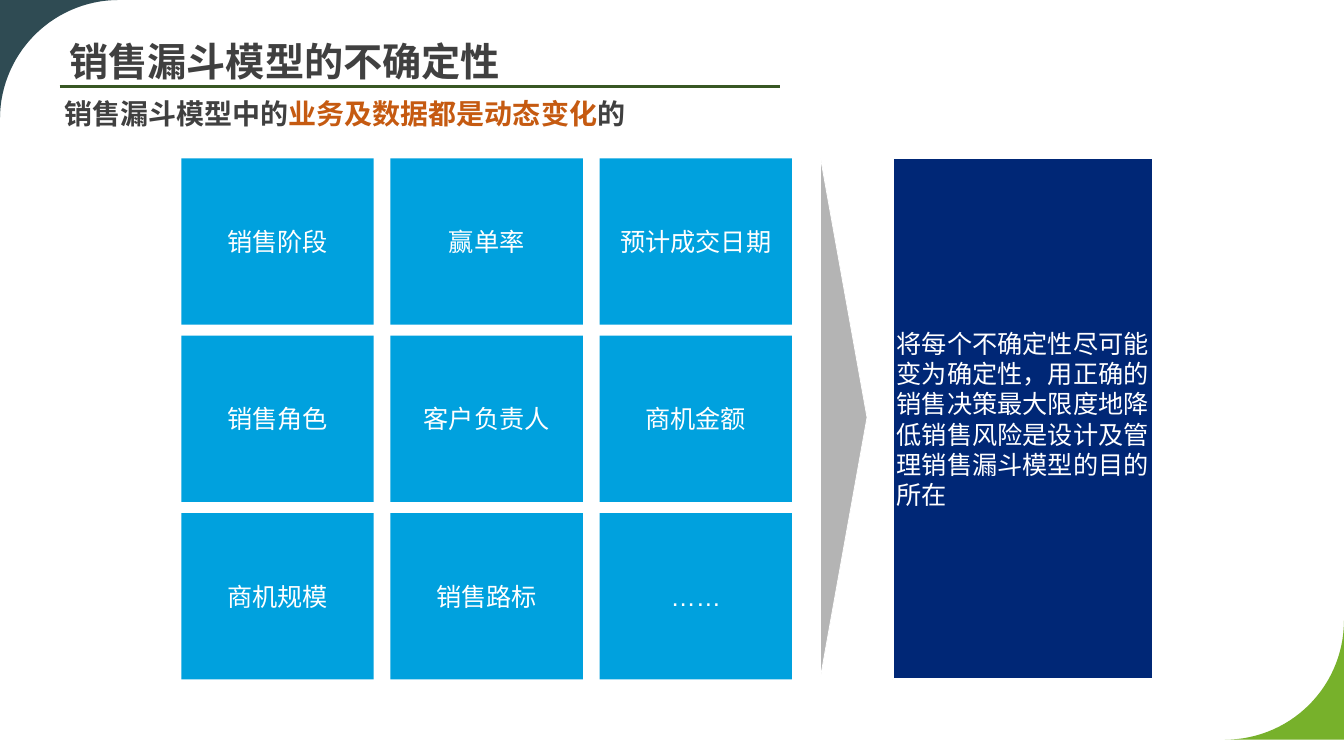
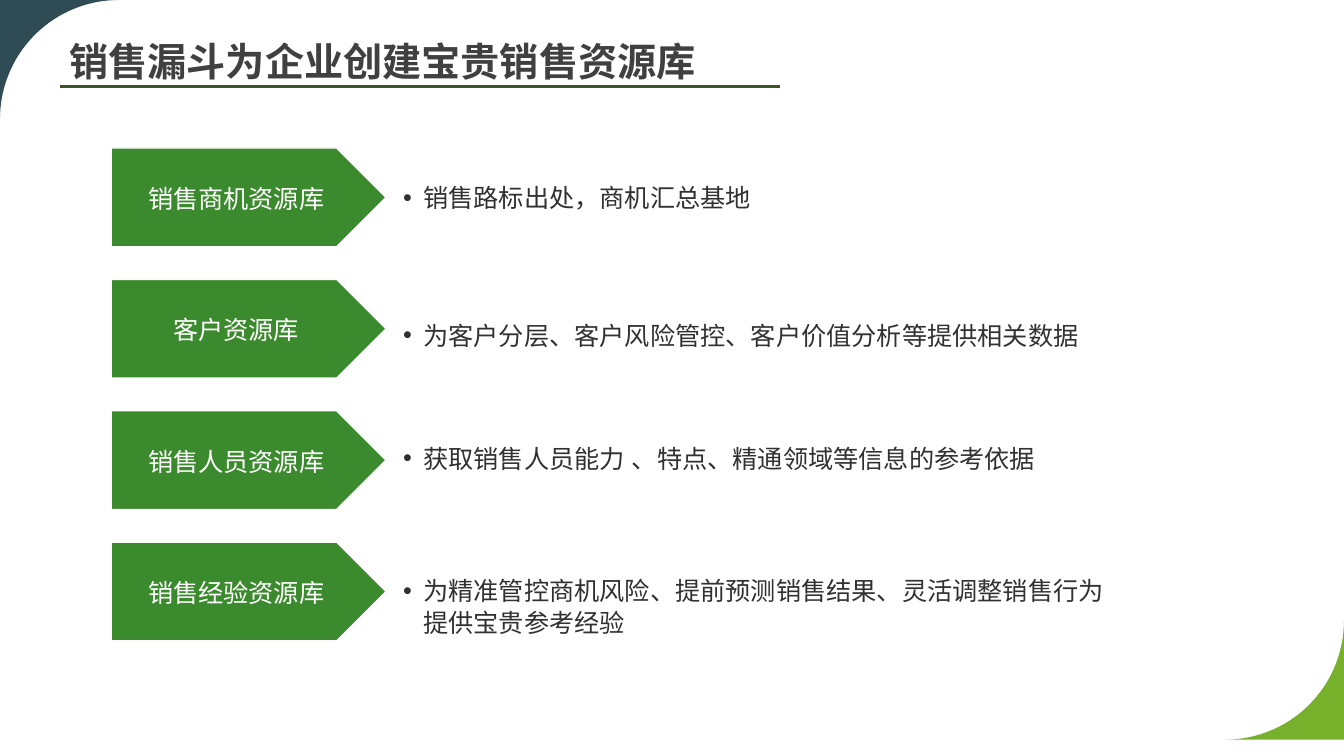
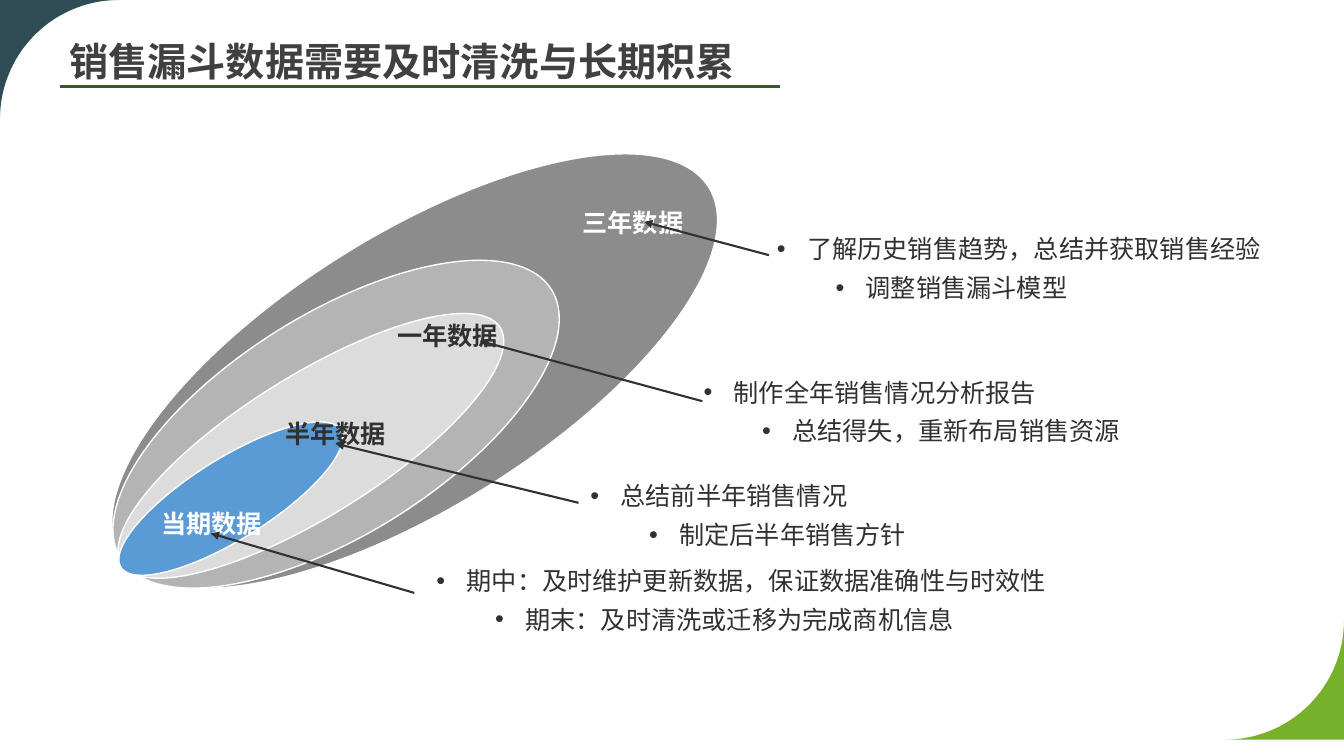
"""Build three slides on the sales funnel model."""
import math

from pptx import Presentation
from pptx import util as u
from pptx.dml.color import RGBColor
from pptx.enum import shapes, text
from pptx.oxml.ns import qn
from lxml import etree

WIDE, HIGH = 33.87, 19.05
BODY, HEAD = "Arial", "Noto Sans CJK SC"
WHITE, INK, GREY = "FFFFFF", "313131", "404040"
TEAL, LIME, OLIVE, RUST = "2F4B53", "77B12B", "385723", "C55A11"
SKY, NAVY, GREEN, SILVER = "00A1DE", "002776", "3C8A2E", "B4B4B4"
LEFT, MID = text.PP_ALIGN.LEFT, text.PP_ALIGN.CENTER
KIND = shapes.MSO_SHAPE


def tint(code):
    """Turn a hex string into a colour."""
    return RGBColor.from_string(code)


def box(left, top, wide, high):
    """Turn four lengths in centimetres into slide units."""
    return [u.Cm(side) for side in (left, top, wide, high)]


def paint(shape, fill, edge=None, width=1):
    """Give a shape its fill and outline, without a shadow."""
    shape.shadow.inherit = False
    shape.fill.solid()
    shape.fill.fore_color.rgb = tint(fill)
    if edge:
        shape.line.color.rgb = tint(edge)
        shape.line.width = u.Pt(width)
    else:
        shape.line.fill.background()


def style(par, color, size=18, bold=False, font=BODY, align=LEFT, space=None):
    """Format a paragraph and all its runs."""
    par.alignment = align
    if space:
        par.line_spacing = space
    for run in par.runs:
        run.font.size, run.font.bold, run.font.name = u.Pt(size), bold, font
        run.font.color.rgb = tint(color)
        east = etree.SubElement(run.font._element, qn("a:ea"))
        east.set("typeface", BODY)


def inset(frame, anchor, side=0.1, edge=0.1):
    """Set wrapping, anchor and margins of a text frame."""
    frame.word_wrap = True
    frame.auto_size = text.MSO_AUTO_SIZE.NONE
    frame.vertical_anchor = anchor
    frame.margin_left = frame.margin_right = u.Cm(side)
    frame.margin_top = frame.margin_bottom = u.Cm(edge)


def block(slide, kind, place, fill, words="", edge=None, width=1, align=MID, space=None):
    """Add a filled preset shape with white text."""
    shape = slide.shapes.add_shape(kind, *box(*place))
    paint(shape, fill, edge, width)
    if words:
        inset(shape.text_frame, text.MSO_ANCHOR.MIDDLE)
        shape.text_frame.text = words
        style(shape.text_frame.paragraphs[0], WHITE, align=align, space=space)
    return shape


def label(slide, place, lines, color=INK, side=0.1, edge=0.1, **looks):
    """Add a text box and return its paragraphs."""
    frame = slide.shapes.add_textbox(*box(*place)).text_frame
    inset(frame, text.MSO_ANCHOR.TOP, side, edge)
    frame.text = "\n".join(lines)
    for par in frame.paragraphs:
        style(par, color, **looks)
    return frame.paragraphs


def bullet(par, left, hang, before):
    """Give a paragraph a bullet and a hanging indent."""
    par.space_before = u.Pt(before)
    props = par._p.get_or_add_pPr()
    props.set("marL", str(u.Cm(left)))
    props.set("indent", str(-u.Cm(hang)))
    etree.SubElement(props, qn("a:buFont")).set("typeface", BODY)
    etree.SubElement(props, qn("a:buChar")).set("char", "•")


def line(slide, start, end, color, width, arrow=False):
    """Draw a straight line, with an arrowhead at its end if asked."""
    link = slide.shapes.add_connector(
        shapes.MSO_CONNECTOR.STRAIGHT, *box(*start, *end))
    link.line.color.rgb = tint(color)
    link.line.width = u.Pt(width)
    if arrow:
        etree.SubElement(link.line._get_or_add_ln(), qn("a:tailEnd")).set("type", "triangle")
    etree.SubElement(link._element.spPr, qn("a:effectLst"))
    return link


def corner(slide, left, top, sign, fill, size=3):
    """Fill the area between a slide corner and a quarter circle."""
    arc = [math.radians(step) for step in range(0, 91, 3)]
    spots = [(u.Cm(left + sign * size * (1 - math.sin(turn))),
              u.Cm(top + sign * size * (1 - math.cos(turn)))) for turn in arc]
    pen = slide.shapes.build_freeform(u.Cm(left), u.Cm(top))
    pen.add_line_segments(spots, close=True)
    shape = pen.convert_to_shape()
    paint(shape, fill)
    return shape


def dress(slide):
    """Draw the corners and title rule, and move them to the layout."""
    parts = [corner(slide, 0, 0, 1, TEAL),
             corner(slide, WIDE, 18.64, -1, LIME),
             line(slide, (1.5, 2.18), (19.66, 2.18), OLIVE, 2.25)]
    for part in parts:
        slide.slide_layout.shapes.element.append(part._element)


def start(deck, words, wide=18.75):
    """Add a slide with its title."""
    slide = deck.slides.add_slide(deck.slide_layouts[5])
    title = slide.shapes.title
    title.left, title.top, title.width, title.height = box(1.5, 0.94, wide, 1.55)
    inset(title.text_frame, text.MSO_ANCHOR.TOP, 0.25, 0.13)
    title.text_frame.text = words
    style(title.text_frame.paragraphs[0], GREY, 28, True, HEAD, space=0.9)
    return slide


def doubt(deck):
    """Build the slide on uncertainty."""
    slide = start(deck, "销售漏斗模型的不确定性")
    dress(slide)
    par = label(slide, (1.37, 2.41, 28.88, 1.07), [""], side=0.25, edge=0.13)[0]
    for words in ("销售漏斗模型中的", "业务及数据都是动态变化", "的"):
        par.add_run().text = words
    style(par, GREY, 20, True, space=0.9)
    par.runs[1].font.color.rgb = tint(RUST)
    names = ["销售阶段", "赢单率", "预计成交日期",
             "销售角色", "客户负责人", "商机金额",
             "商机规模", "销售路标", "……"]
    for spot, name in enumerate(names):
        row, col = divmod(spot, 3)
        block(slide, KIND.RECTANGLE, (4.57 + 5.27 * col, 3.99 + 4.47 * row, 4.85, 4.19), SKY, name)
    wedge = block(slide, KIND.PENTAGON, (20.68, 3.99, 1.17, 13.06), SILVER, edge=WHITE, width=0.5)
    wedge.adjustments[0] = 1
    block(slide, KIND.RECTANGLE, (22.5, 3.99, 6.55, 13.13), NAVY,
          "将每个不确定性尽可能变为确定性，用正确的销售决策最大限度地降低销售风险是设计及管理销售漏斗模型的目的所在",
          WHITE, 1.5, LEFT)


def store(deck):
    """Build the slide on resource pools."""
    slide = start(deck, "销售漏斗为企业创建宝贵销售资源库")
    pools = [
        ("销售商机资源库", 4.45, "销售路标出处，商机汇总基地"),
        ("客户资源库", 7.92, "为客户分层、客户风险管控、客户价值分析等提供相关数据"),
        ("销售人员资源库", 11.02, "获取销售人员能力 、特点、精通领域等信息的参考依据"),
        ("销售经验资源库", 14.35, "为精准管控商机风险、提前预测销售结果、灵活调整销售行为提供宝贵参考经验"),
    ]
    for row, (name, top, words) in enumerate(pools):
        block(slide, KIND.PENTAGON, (2.8, 3.73 + 3.31 * row, 6.93, 2.49), GREEN, name, WHITE, space=1.06)
        par = label(slide, (10.06, top, 18.08, 1.83), [words], space=1.06)[0]
        bullet(par, 0.51, 0.51, 4)


def data(deck):
    """Build the slide on nested data spans."""
    slide = start(deck, "销售漏斗数据需要及时清洗与长期积累", 23.11)
    ovals = [
        ((7.01, 0.61, 6.88, 17.48), "8C8C8C"),
        ((5.69, 4.29, 5.56, 12.8), SILVER),
        ((6.07, 5.61, 3.53, 11.25), "DCDCDC"),
        ((4.8, 9.3, 2.03, 6.53), "5B9BD5"),
    ]
    for place, fill in ovals:
        block(slide, KIND.OVAL, place, fill, edge=WHITE).rotation = 58
    spans = [
        ("当期数据", WHITE, (3.3, 12.7), (10.44, 14.94), (5.31, 13.44), (10.9, 14.15, 16.43),
         ["期中：及时维护更新数据，保证数据准确性与时效性", "期末：及时清洗或迁移为完成商机信息"]),
        ("半年数据", INK, (6.43, 10.44), (14.58, 12.67), (8.46, 11.18), (14.78, 12.01, 9.12),
         ["总结前半年销售情况", "制定后半年销售方针"]),
        ("一年数据", INK, (9.25, 7.98), (17.7, 10.11), (12.09, 8.59), (17.63, 9.4, 12.27),
         ["制作全年销售情况分析报告", "总结得失，重新布局销售资源"]),
        ("三年数据", WHITE, (13.92, 5.13), (19.38, 6.43), (16.23, 5.59), (19.48, 5.79, 12.73),
         ["了解历史销售趋势，总结并获取销售经验", "调整销售漏斗模型"]),
    ]
    for name, color, spot, tail, tip, place, notes in spans:
        label(slide, (*spot, 4.06, 0.97), [name], color, bold=True, align=MID)
        line(slide, tail, tip, INK, 1.5, True)
        for par, left in zip(label(slide, (*place, 2.08), notes), (0.76, 2.24)):
            bullet(par, left, 0.76, 6)


def main():
    """Build and save the deck."""
    deck = Presentation()
    deck.slide_width, deck.slide_height = u.Cm(WIDE), u.Cm(HIGH)
    for build in (doubt, store, data):
        build(deck)
    deck.save("out.pptx")


if __name__ == "__main__":
    main()
